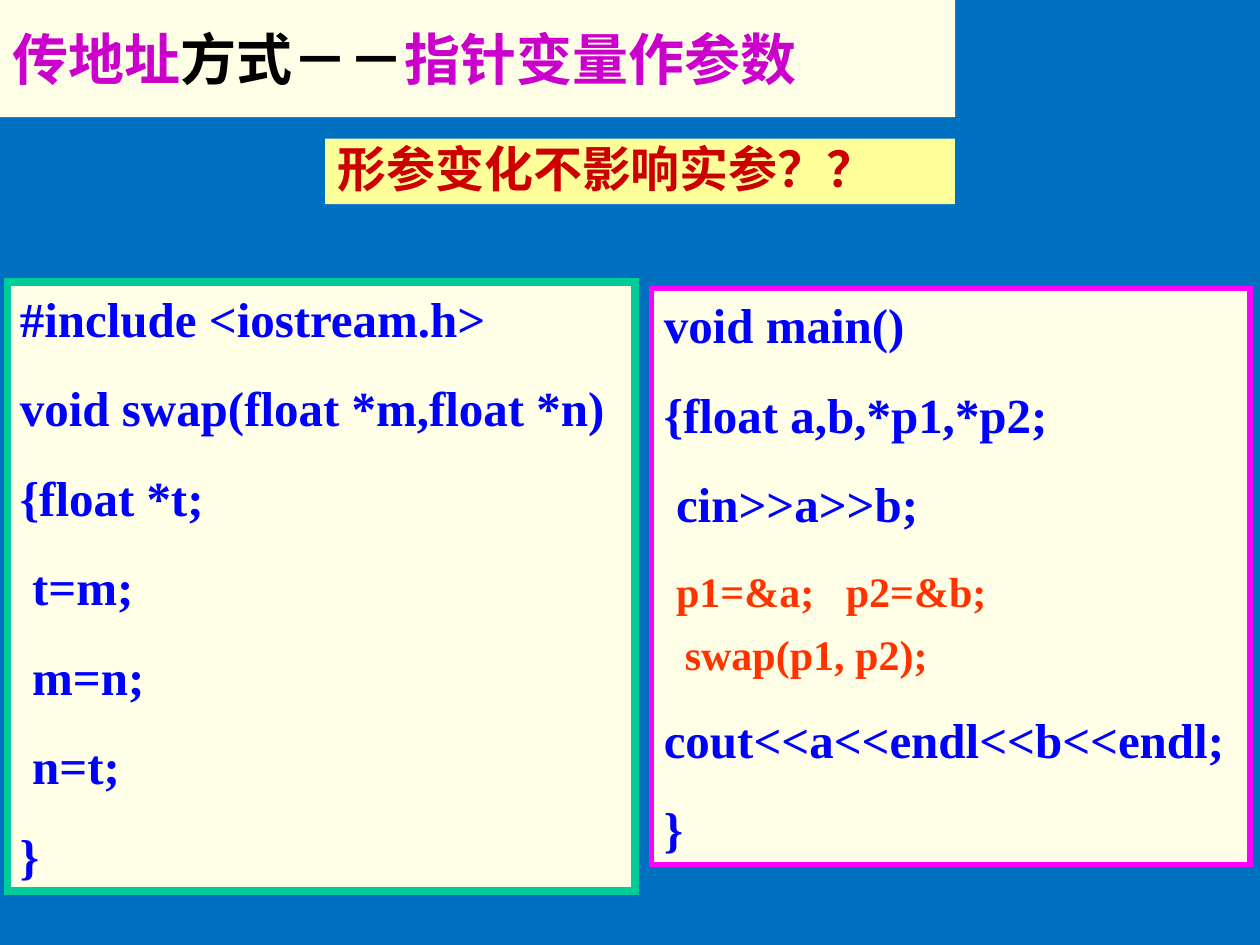
from pptx import Presentation
from pptx.dml.color import RGBColor
from pptx.enum.shapes import MSO_SHAPE
from pptx.enum.text import MSO_ANCHOR, PP_ALIGN
from pptx.oxml.ns import qn
from pptx.util import Inches, Pt
from lxml import etree

RECT = MSO_SHAPE.RECTANGLE
TOP, MIDDLE = MSO_ANCHOR.TOP, MSO_ANCHOR.MIDDLE
LEFT, JUSTIFY = PP_ALIGN.LEFT, PP_ALIGN.JUSTIFY
HAN, ROMAN = "Noto Sans CJK SC", "Times New Roman"
CREAM, BLUE, ORANGE, PURPLE = "FFFFE7", "0000FF", "FF3300", "CC00CC"
GAP = 17.5


def paint(color, value):
    color.rgb = RGBColor.from_string(value)


def add_run(para, text, size, face, color):
    run = para.add_run()
    run.text = text
    font = run.font
    font.size, font.name, font.bold = Pt(size), face, True
    paint(font.color, color)
    etree.SubElement(run._r.get_or_add_rPr(), qn("a:ea"), typeface=face)


deck = Presentation()
deck.slide_width, deck.slide_height = Inches(10), Inches(7.5)
slide = deck.slides.add_slide(deck.slide_layouts[6])
back = slide.background.fill
back.solid()
paint(back.fore_color, "0070C0")

title = [(0, LEFT, [("传地址", 32, PURPLE), ("方式－－", 32, "000000"),
                    ("指针变量作参数", 32, PURPLE)])]
main = [
    (0, LEFT, [("void main()", 28, BLUE)]),
    (GAP, LEFT, [("{float a,b,*p1,*p2;", 28, BLUE)]),
    (GAP, LEFT, [(" cin>>a>>b;", 28, BLUE)]),
    (15, LEFT, [(" ", 28, BLUE), ("p1=&a;   p2=&b;", 24, ORANGE)]),
    (6, JUSTIFY, [("  swap(p1, p2);", 24, ORANGE)]),
    (GAP, LEFT, [("cout<<a<<endl<<b<<endl;", 28, BLUE)]),
    (GAP, LEFT, [("}", 28, BLUE)]),
]
code = ["#include <iostream.h>", "void swap(float *m,float *n)", "{float *t;",
        " t=m;", " m=n;", " n=t;", "}"]
swap = [(GAP if i else 0, LEFT, [(line, 28, BLUE)]) for i, line in enumerate(code)]
query = [(0, LEFT, [("形参变化不影响实参？？", 28, "CC0000")])]

boxes = [
    (0, 0, 7.58, 0.93, CREAM, None, MIDDLE, HAN, 1, title),
    (5.17, 2.29, 4.75, 4.57, CREAM, ("FF00FF", 3), TOP, ROMAN, 1, main),
    (0.06, 2.24, 4.98, 4.83, CREAM, ("00CC99", 4.5), TOP, ROMAN, 1, swap),
    (2.58, 1.1, 5, 0.52, "FFFF99", None, TOP, HAN, 0.9, query),
]
for x, y, w, h, fill, edge, anchor, face, space, paras in boxes:
    box = slide.shapes.add_shape(RECT, Inches(x), Inches(y), Inches(w), Inches(h))
    box.shadow.inherit = False
    box.fill.solid()
    paint(box.fill.fore_color, fill)
    if edge:
        paint(box.line.color, edge[0])
        box.line.width = Pt(edge[1])
        etree.SubElement(box._element.spPr.find(qn("a:ln")), qn("a:miter"), lim="800000")
    else:
        box.line.fill.background()
    frame = box.text_frame
    frame.word_wrap = True
    frame.vertical_anchor = anchor
    for i, (gap, align, runs) in enumerate(paras):
        para = frame.add_paragraph() if i else frame.paragraphs[0]
        para.alignment = align
        para.line_spacing = space
        para.space_before = Pt(gap)
        for text, size, color in runs:
            add_run(para, text, size, face, color)

deck.save("out.pptx")
